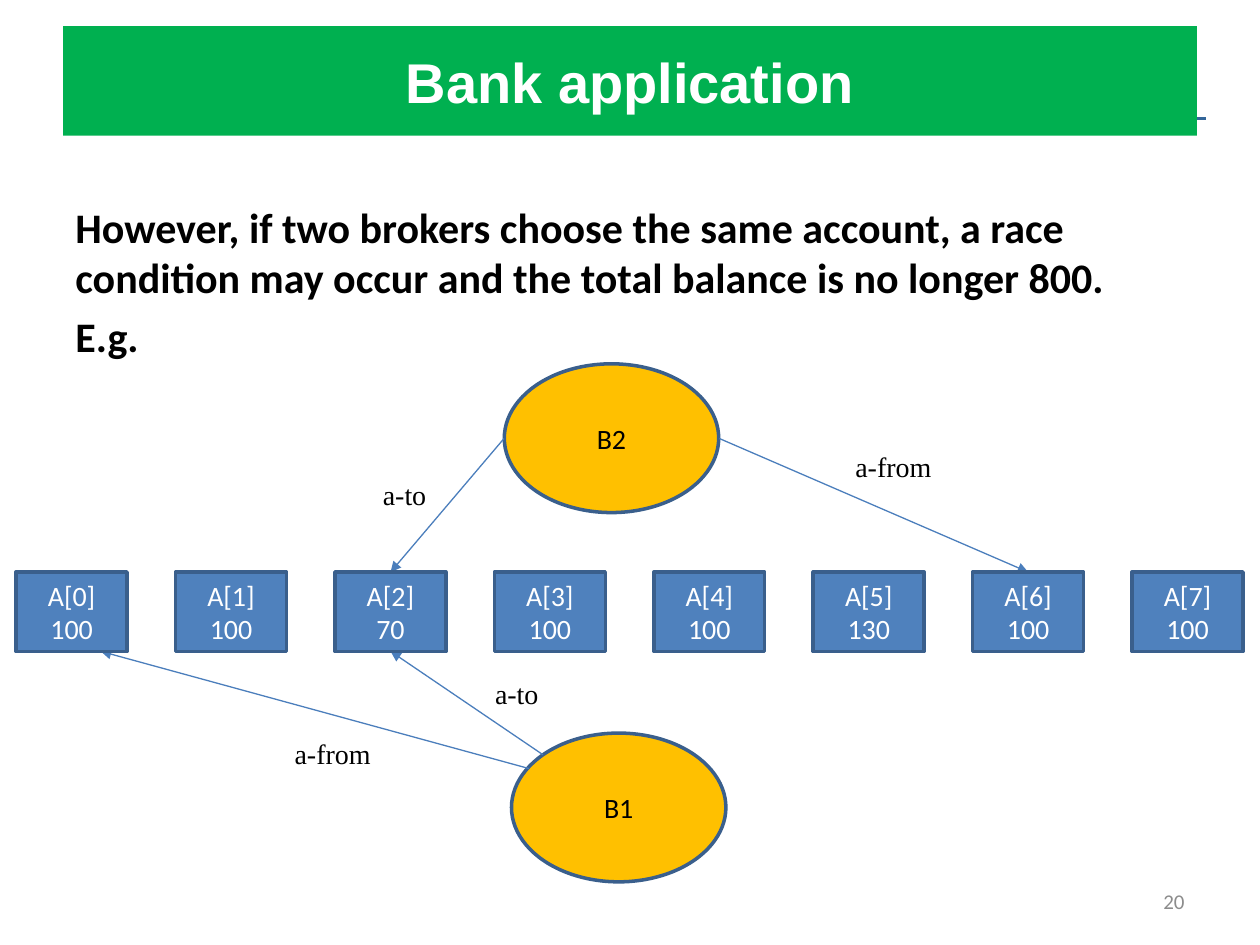
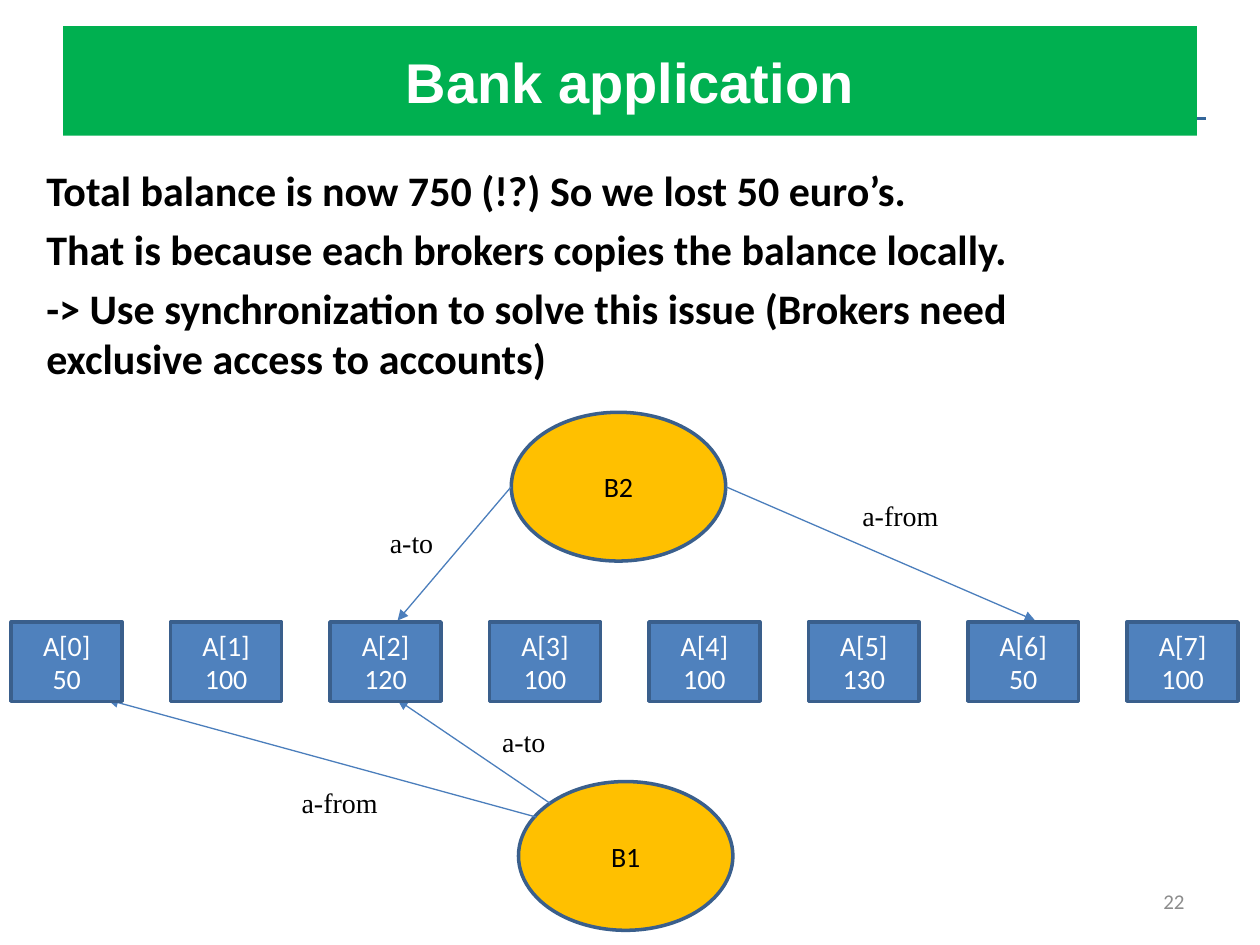
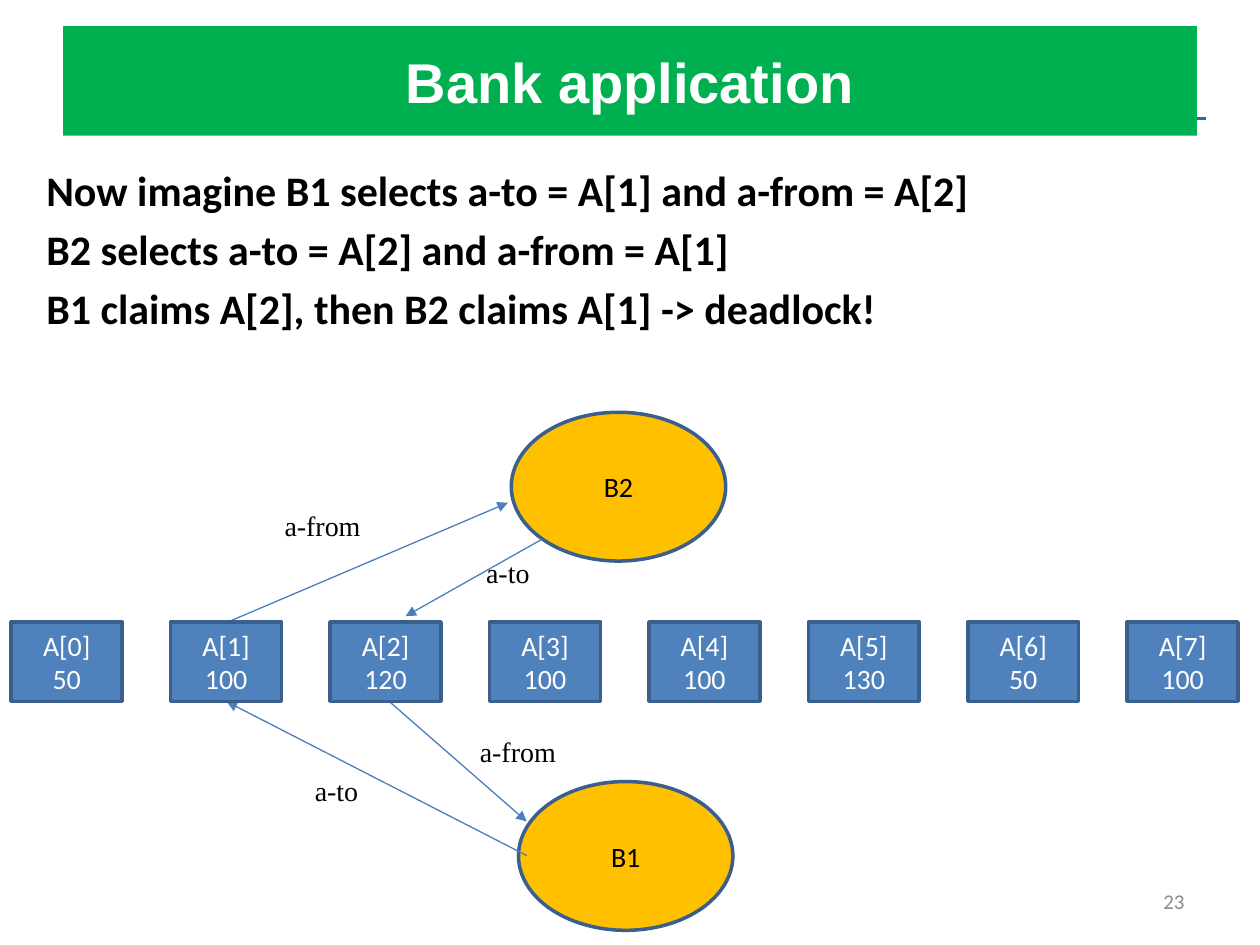
from lxml.etree import SubElement
from pptx import Presentation
from pptx.dml.color import RGBColor
from pptx.enum.shapes import MSO_CONNECTOR, MSO_SHAPE
from pptx.enum.text import MSO_ANCHOR, MSO_AUTO_SIZE, PP_ALIGN
from pptx.oxml.ns import qn
from pptx.util import Pt

COLORS = {
    "title_fill": "00B050",
    "title_rule": "336699",
    "account": "4F81BD",
    "broker": "FFC000",
    "outline": "3A5F8C",
    "arrow": "4B7EBC",
    "light": "FFFFFF",
    "dark": "000000",
    "number": "8C8C8C",
}

FONTS = {
    "title": {"name": "Arial", "size": Pt(32), "bold": True},
    "body": {"name": "Calibri", "size": Pt(24), "bold": True},
    "number": {"name": "Calibri", "size": Pt(12)},
    "shape": {"name": "Calibri", "size": Pt(16)},
    "label": {"name": "Times New Roman", "size": Pt(16)},
}

BROKER_SIZE = (122.5, 85)
ACCOUNT_SIZE = (63.4, 45.4)
ACCOUNT_PITCH = 91.1
LABEL_WIDTHS = {"a-from": 59, "a-to": 39.6}

BROKERS = [("B1", 292.3, 418.9), ("B2", 288.2, 207.9)]
TRANSFER_ARROWS = [
    (302.4, 439.2, 57.6, 372.2),
    (310.3, 431.3, 223.2, 372.2),
    (288, 250.6, 223.2, 326.9),
    (411.1, 250.6, 587.5, 326.9),
]
TRANSFER_LABELS = [
    ("a-from", 161.3, 417.6),
    ("a-to", 275.8, 383),
    ("a-to", 211.7, 269.3),
    ("a-from", 481.7, 253.4),
]
DEADLOCK_ARROWS = [
    (221.8, 400.3, 301, 469.4),
    (301, 488.9, 129.6, 401),
    (129.6, 355.7, 290.2, 287.3),
    (309.6, 308.2, 231.8, 352.1),
]
DEADLOCK_LABELS = [
    ("a-from", 267.1, 416.2),
    ("a-to", 172.8, 438.5),
    ("a-to", 270.7, 313.9),
    ("a-from", 155.5, 287.3),
]
LOWER = (4, 27.7)
FINAL_BALANCES = [50, 100, 120, 100, 100, 130, 50, 100]

PAGES = [
    {
        "number": 20,
        "body_at": (36, 111.6),
        "body": [
            "However, if two brokers choose the same account, a race condition may occur "
            "and the total balance is no longer 800.",
            "E.g.",
        ],
        "broker_shift": (0, 0),
        "arrows": TRANSFER_ARROWS,
        "labels": TRANSFER_LABELS,
        "flow_shift": (0, 0),
        "accounts_at": (9.2, 326.9),
        "balances": [100, 100, 70, 100, 100, 130, 100, 100],
    },
    {
        "number": 22,
        "body_at": (19.4, 90.7),
        "body": [
            "Total balance is now 750 (!?) So we lost 50 euro’s.",
            "That is because each brokers copies the balance locally.",
            "-> Use synchronization to solve this issue (Brokers need exclusive access to accounts)",
        ],
        "broker_shift": LOWER,
        "arrows": TRANSFER_ARROWS,
        "labels": TRANSFER_LABELS,
        "flow_shift": LOWER,
        "accounts_at": (6.4, 355.4),
        "balances": FINAL_BALANCES,
    },
    {
        "number": 23,
        "body_at": (19.4, 90.7),
        "body": [
            "Now imagine B1 selects a-to = A[1] and a-from = A[2]",
            "B2 selects a-to = A[2] and a-from = A[1]",
            "B1 claims A[2], then B2 claims A[1] -> deadlock!",
        ],
        "broker_shift": LOWER,
        "arrows": DEADLOCK_ARROWS,
        "labels": DEADLOCK_LABELS,
        "flow_shift": (0, 0),
        "accounts_at": (6.4, 355.4),
        "balances": FINAL_BALANCES,
    },
]


def rgb(name):
    return RGBColor.from_string(COLORS[name])


def points(*values):
    return [Pt(value) for value in values]


def write(box, lines, font, color, align=PP_ALIGN.LEFT, anchor=MSO_ANCHOR.TOP,
          wrap=True, fit=MSO_AUTO_SIZE.NONE, before=0):
    frame = box.text_frame
    frame_format = {"word_wrap": wrap, "auto_size": fit, "vertical_anchor": anchor}
    for name, value in frame_format.items():
        setattr(frame, name, value)
    for index, line in enumerate(lines):
        para = frame.add_paragraph() if index else frame.paragraphs[0]
        para.alignment = align
        para.space_before = Pt(before)
        span = para.add_run()
        span.text = line
        for name, value in FONTS[font].items():
            setattr(span.font, name, value)
        span.font.color.rgb = rgb(color)


def add_line(page, ends, color, width, arrow=False):
    line = page.shapes.add_connector(MSO_CONNECTOR.STRAIGHT, *points(*ends))
    line.line.color.rgb = rgb(color)
    line.line.width = Pt(width)
    properties = line.element.spPr
    if arrow:
        SubElement(properties.find(qn("a:ln")), qn("a:tailEnd"), type="triangle")
    SubElement(properties, qn("a:effectLst"))
    return line


def add_title(page, text):
    rule = add_line(page, (36, 67.7, 689, 67.7), "title_rule", 1.5)
    title = page.shapes.title
    title.element.addprevious(rule.element)
    title.left, title.top, title.width, title.height = points(36, 15, 648, 62.5)
    title.fill.solid()
    title.fill.fore_color.rgb = rgb("title_fill")
    write(title, [text], "title", "light", PP_ALIGN.CENTER, MSO_ANCHOR.MIDDLE)


def add_body(page, position, lines):
    box = page.shapes.add_textbox(*points(*position, 648, 370.8))
    write(box, lines, "body", "dark", before=4.8)


def add_number(page, number):
    box = page.shapes.add_textbox(*points(516, 500.5, 168, 28.8))
    write(box, [str(number)], "number", "number", PP_ALIGN.RIGHT, MSO_ANCHOR.MIDDLE)


def add_node(page, kind, position, size, lines, fill, color):
    node = page.shapes.add_shape(kind, *points(*position, *size))
    node.shadow.inherit = False
    node.fill.solid()
    node.fill.fore_color.rgb = rgb(fill)
    node.line.color.rgb = rgb("outline")
    node.line.width = Pt(2)
    write(node, lines, "shape", color, PP_ALIGN.CENTER, MSO_ANCHOR.MIDDLE)


def add_brokers(page, shift):
    right, down = shift
    for name, left, top in BROKERS:
        add_node(page, MSO_SHAPE.OVAL, (left + right, top + down), BROKER_SIZE,
                 [name], "broker", "dark")


def add_flows(page, arrows, labels, shift):
    right, down = shift
    for x1, y1, x2, y2 in arrows:
        ends = (x1 + right, y1 + down, x2 + right, y2 + down)
        add_line(page, ends, "arrow", 0.75, arrow=True)
    for text, left, top in labels:
        place = points(left + right, top + down, LABEL_WIDTHS[text], 26.6)
        box = page.shapes.add_textbox(*place)
        write(box, [text], "label", "dark", wrap=False,
              fit=MSO_AUTO_SIZE.SHAPE_TO_FIT_TEXT)


def add_accounts(page, position, balances):
    left, top = position
    for index, balance in enumerate(balances):
        add_node(page, MSO_SHAPE.RECTANGLE, (left + index * ACCOUNT_PITCH, top),
                 ACCOUNT_SIZE, [f"A[{index}]", str(balance)], "account", "light")


def main():
    deck = Presentation()
    deck.slide_width, deck.slide_height = points(720, 540)
    for content in PAGES:
        page = deck.slides.add_slide(deck.slide_layouts[5])
        add_title(page, "Bank application")
        add_body(page, content["body_at"], content["body"])
        add_number(page, content["number"])
        add_brokers(page, content["broker_shift"])
        add_flows(page, content["arrows"], content["labels"], content["flow_shift"])
        add_accounts(page, content["accounts_at"], content["balances"])
    deck.save("out.pptx")


if __name__ == "__main__":
    main()
